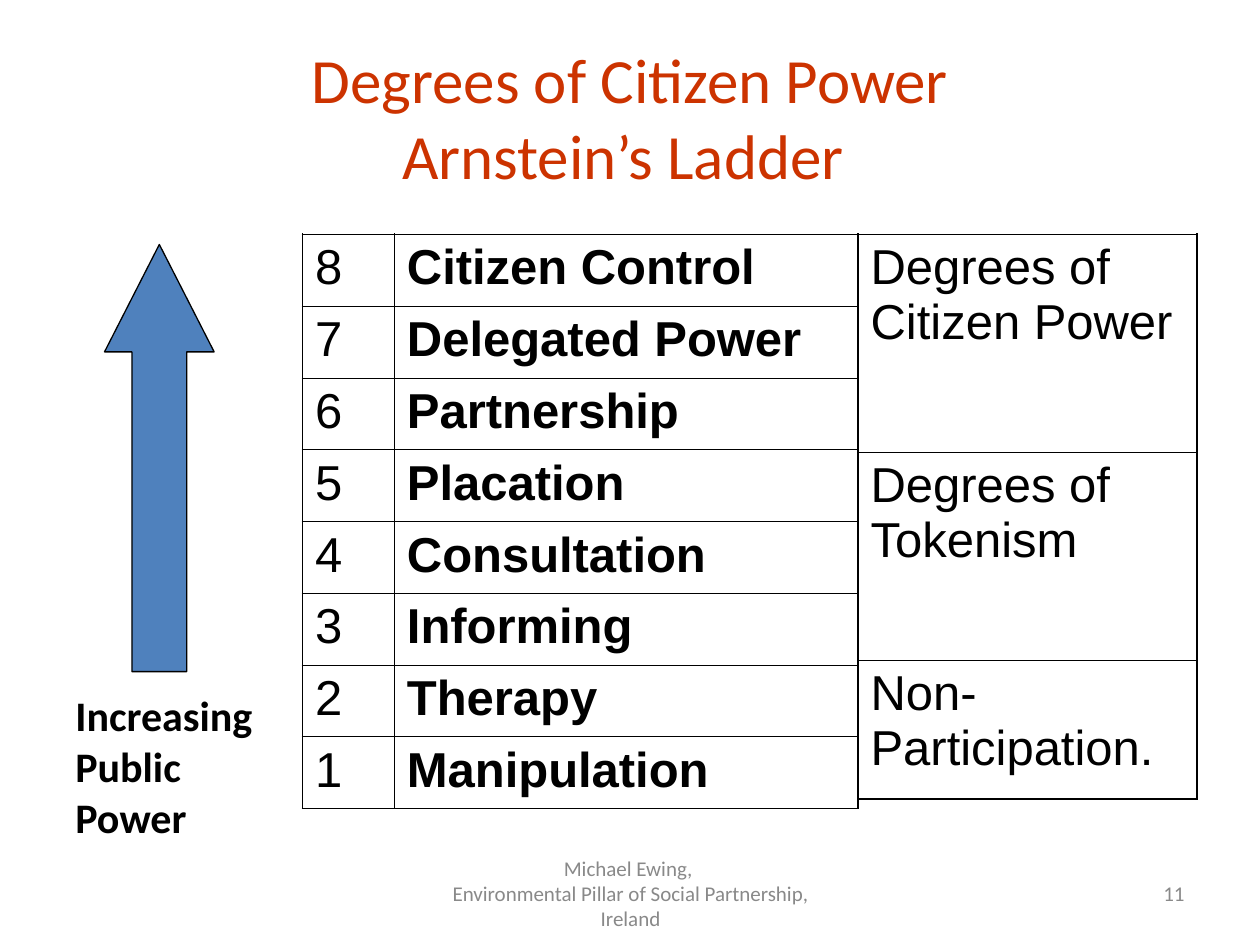
"""Build the slide on Arnstein's ladder of citizen power."""
import pptx
import pptx.util
import pptx.dml.color
import pptx.enum.shapes
import pptx.enum.text
import pptx.oxml.ns
from lxml import etree

Inches, Pt = pptx.util.Inches, pptx.util.Pt
ALIGN, ANCHOR = pptx.enum.text.PP_ALIGN, pptx.enum.text.MSO_ANCHOR

COLOURS = {"title": "CC3300", "text": "000000", "footer": "898989", "arrow": "4F81BD"}
TITLE = "Degrees of Citizen Power\vArnstein’s Ladder "
CAPTION = ["Increasing", "Public", "Power"]
FOOTER = ["Michael Ewing, ", "Environmental Pillar of Social Partnership, Ireland"]
PAGE = ["11"]
RUNGS = ["Citizen Control", "Delegated Power", "Partnership", "Placation",
         "Consultation", "Informing", "Therapy", "Manipulation"]
DEGREES = [("Degrees of Citizen Power", 1.73), ("Degrees of Tokenism", 1.65),
           ("Non-Participation.", 1.1)]
TABLE_TOP, RUNG_HEIGHT = 1.86, 0.57
OUTER, INNER = 1.08, 0.45


def rgb(name):
    return pptx.dml.color.RGBColor.from_string(COLOURS[name])


def style(paragraph, size, colour, font="Calibri", bold=False):
    for run in paragraph.runs:
        run.font.size = Pt(size)
        run.font.name = font
        run.font.bold = bold
        run.font.color.rgb = rgb(colour)


def add_text(slide, lines, box, size, colour, align, anchor, bold=False, spacing=1.0, gap=0):
    frame = slide.shapes.add_textbox(*map(Inches, box)).text_frame
    frame.word_wrap = True
    frame.vertical_anchor = anchor
    frame.text = "\n".join(lines)
    for index, paragraph in enumerate(frame.paragraphs):
        paragraph.alignment = align
        paragraph.line_spacing = spacing
        paragraph.space_before = Pt(gap if index else 0)
        style(paragraph, size, colour, bold=bold)


def add_border(cell, side, width):
    properties = cell._tc.get_or_add_tcPr()
    line = etree.SubElement(properties, pptx.oxml.ns.qn(f"a:ln{side}"), w=str(Pt(width)))
    fill = etree.SubElement(line, pptx.oxml.ns.qn("a:solidFill"))
    etree.SubElement(fill, pptx.oxml.ns.qn("a:srgbClr"), val=COLOURS["text"])


def add_grid(slide, rows, left, widths, heights, bold_column=None):
    table = slide.shapes.add_table(
        len(rows), len(widths), Inches(left), Inches(TABLE_TOP),
        Inches(sum(widths)), Inches(sum(heights))).table
    table.first_row = table.horz_banding = False
    for column, width in zip(table.columns, widths):
        column.width = Inches(width)
    for r, (texts, height) in enumerate(zip(rows, heights)):
        table.rows[r].height = Inches(height)
        for c, text in enumerate(texts):
            cell = table.cell(r, c)
            cell.text_frame.text = text
            style(cell.text_frame.paragraphs[0], 28, "text", "Arial", c == bold_column)
            on_edge = {"L": c == 0, "R": c == len(widths) - 1,
                       "T": r == 0, "B": r == len(rows) - 1}
            for side, outer in on_edge.items():
                add_border(cell, side, OUTER if outer else INNER)
            cell.fill.background()


def add_title(slide):
    title = slide.shapes.title
    title.left, title.top, title.width, title.height = map(Inches, (0.5, 0.3, 9, 1.25))
    title.text_frame.text = TITLE
    title.text_frame.vertical_anchor = ANCHOR.MIDDLE
    title.text_frame.paragraphs[0].alignment = ALIGN.CENTER
    style(title.text_frame.paragraphs[0], 36, "title")


def add_arrow(slide):
    arrow = slide.shapes.add_shape(
        pptx.enum.shapes.MSO_SHAPE.UP_ARROW, *map(Inches, (0.83, 1.94, 0.87, 3.39)))
    arrow.adjustments[0], arrow.adjustments[1] = 0.5, 0.98
    arrow.shadow.inherit = False
    arrow.fill.solid()
    arrow.fill.fore_color.rgb = rgb("arrow")
    arrow.line.color.rgb = rgb("text")
    arrow.line.width = Pt(0.75)


def main():
    deck = pptx.Presentation()
    deck.slide_width, deck.slide_height = Inches(10), Inches(7.5)
    slide = deck.slides.add_slide(deck.slide_layouts[5])
    add_title(slide)
    add_text(slide, FOOTER, (3.42, 6.83, 3.17, 0.52), 12, "footer", ALIGN.CENTER, ANCHOR.MIDDLE)
    add_text(slide, PAGE, (7.17, 6.83, 2.33, 0.52), 12, "footer", ALIGN.RIGHT, ANCHOR.MIDDLE)
    add_text(slide, CAPTION, (0.5, 5.5, 1.8, 1.2), 24, "text", ALIGN.LEFT, ANCHOR.TOP,
             bold=True, spacing=0.8, gap=6)
    rungs = [(str(len(RUNGS) - i), name) for i, name in enumerate(RUNGS)]
    add_grid(slide, rungs, 2.4, [0.73, 3.68], [RUNG_HEIGHT] * len(rungs), bold_column=1)
    add_arrow(slide)
    add_grid(slide, [(name,) for name, _ in DEGREES], 6.81, [2.69],
             [height for _, height in DEGREES])
    deck.save("out.pptx")


if __name__ == "__main__":
    main()
